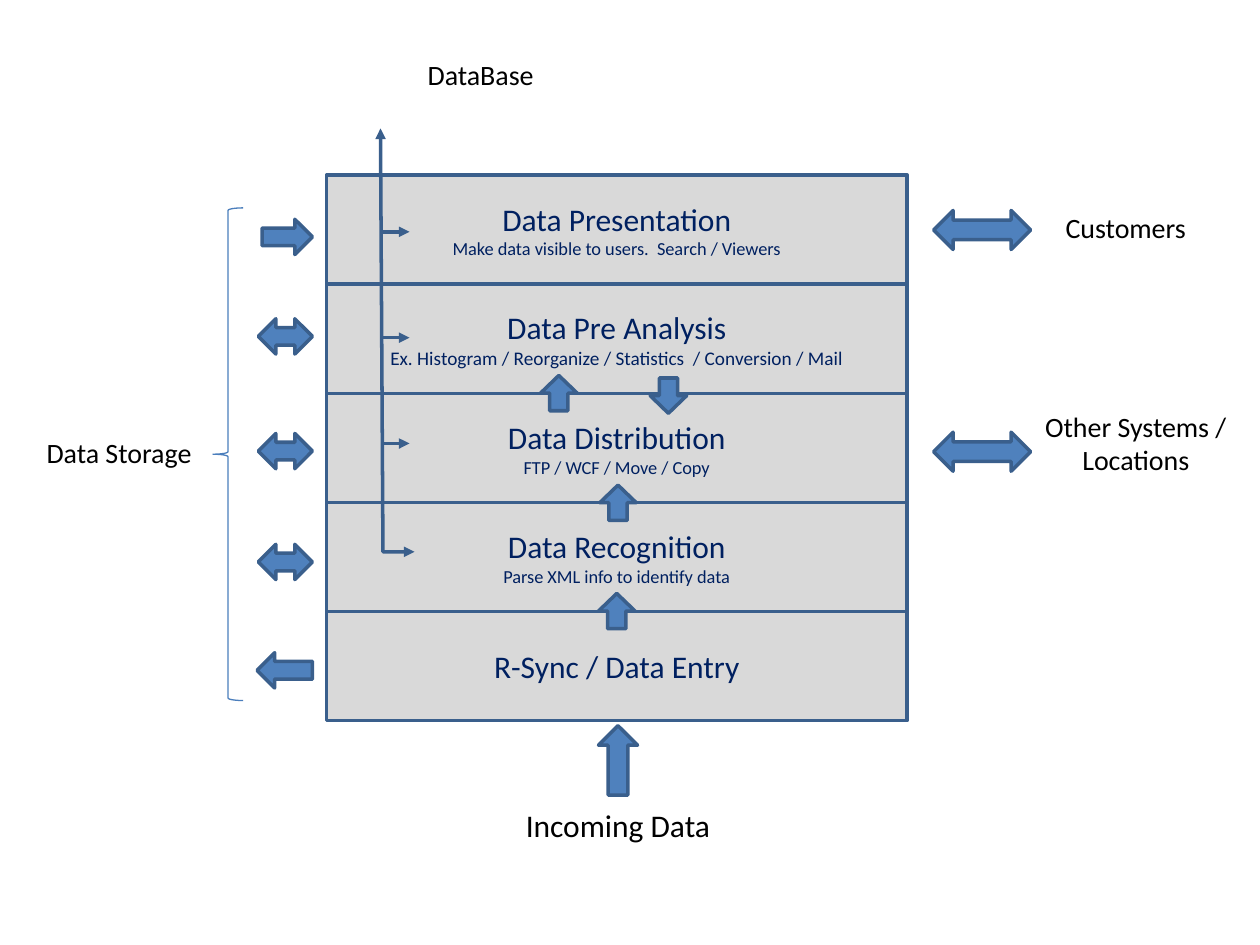
"""Draw the layered data pipeline with its storage, database and outside links."""
from dataclasses import dataclass

from lxml import etree
from pptx import Presentation
from pptx import util as u
from pptx.dml.color import RGBColor
from pptx.enum import shapes, text
from pptx.oxml import ns

COLS, ROWS = 100, 75
prs = Presentation()
prs.slide_width, prs.slide_height = u.Inches(10), u.Inches(7.5)
s = prs.slides.add_slide(prs.slide_layouts[6])
KIND = shapes.MSO_SHAPE


@dataclass(frozen=True)
class Theme:
    font: str = "Calibri"
    layer: str = "D9D9D9"
    arrow: str = "4F81BD"
    outline: str = "3A5F8C"
    brace: str = "4B7EBC"
    navy: str = "002060"
    black: str = "000000"
    heading: float = 18
    label: float = 16
    detail: float = 10.5
    wide_detail: float = 11
    stroke: float = 2
    thin: float = 0.75


THEME = Theme()


@dataclass(frozen=True)
class Box:
    col: float
    row: float
    cols: float
    rows: float

    def emu(self) -> tuple[int, int, int, int]:
        return x(self.col), y(self.row), x(self.cols), y(self.rows)


@dataclass(frozen=True)
class Layer:
    title: str
    detail: str = ""
    size: float = THEME.detail


@dataclass(frozen=True)
class Arrow:
    kind: KIND
    box: Box


@dataclass(frozen=True)
class Label:
    words: str
    box: Box
    size: float = THEME.label


def x(col: float) -> int:
    return round(prs.slide_width * col / COLS)


def y(row: float) -> int:
    return round(prs.slide_height * row / ROWS)


def write(p, words: str, *, size: float, color: str) -> None:
    p.alignment = text.PP_ALIGN.CENTER
    r = p.add_run()
    r.text = words
    r.font.name = THEME.font
    r.font.size = u.Pt(size)
    r.font.color.rgb = RGBColor.from_string(color)


def stroke(line, color: str = THEME.outline, width: float = THEME.stroke) -> None:
    line.color.rgb = RGBColor.from_string(color)
    line.width = u.Pt(width)


def add_heads(sp, *ends: str) -> None:
    ln = sp.line._get_or_add_ln()
    for end in ends:
        etree.SubElement(ln, ns.qn(f"a:{end}"), type="triangle")


def draw_shape(kind: KIND, box: Box, fill: str):
    sp = s.shapes.add_shape(kind, *box.emu())
    sp.shadow.inherit = False
    sp.fill.solid()
    sp.fill.fore_color.rgb = RGBColor.from_string(fill)
    stroke(sp.line)
    return sp


def draw_layer(layer: Layer, box: Box) -> None:
    tf = draw_shape(KIND.RECTANGLE, box, THEME.layer).text_frame
    tf.word_wrap = True
    tf.vertical_anchor = text.MSO_ANCHOR.MIDDLE
    write(tf.paragraphs[0], layer.title, size=THEME.heading, color=THEME.navy)
    if layer.detail:
        write(tf.add_paragraph(), layer.detail, size=layer.size, color=THEME.navy)


def draw_label(label: Label) -> None:
    tf = s.shapes.add_textbox(*label.box.emu()).text_frame
    tf.word_wrap = True
    for i, words in enumerate(label.words.split("\n")):
        p = tf.add_paragraph() if i else tf.paragraphs[0]
        write(p, words, size=label.size, color=THEME.black)


def draw_brace(box: Box) -> None:
    sp = s.shapes.add_shape(KIND.LEFT_BRACE, *box.emu())
    sp.shadow.inherit = False
    sp.fill.background()
    stroke(sp.line, THEME.brace, THEME.thin)


def draw_database_path(points: list[tuple[float, float]]) -> None:
    start, *rest = [(x(col), y(row)) for col, row in points]
    builder = s.shapes.build_freeform(*start)
    builder.add_line_segments(rest, close=False)
    sp = builder.convert_to_shape()
    sp.shadow.inherit = False
    sp.fill.background()
    stroke(sp.line)
    add_heads(sp, "headEnd", "tailEnd")


def draw_branch(start: float, end: float, row: float) -> None:
    sp = s.shapes.add_connector(shapes.MSO_CONNECTOR.STRAIGHT,
                                x(start), y(row), x(end), y(row))
    stroke(sp.line)
    add_heads(sp, "tailEnd")
    etree.SubElement(sp._element.spPr, ns.qn("a:effectLst"))


LAYERS = [
    Layer("Data Presentation", "Make data visible to users.  Search / Viewers"),
    Layer("Data Pre Analysis",
          "Ex. Histogram / Reorganize / Statistics  / Conversion / Mail",
          THEME.wide_detail),
    Layer("Data Distribution", "FTP / WCF / Move / Copy"),
    Layer("Data Recognition", "Parse XML info to identify data"),
    Layer("R-Sync / Data Entry"),
]
STACK = Box(25.9, 13.9, 46.1, 8.66)

ARROWS = [
    Arrow(KIND.UP_ARROW, Box(47.5, 57.6, 3.1, 5.5)),
    *(Arrow(KIND.LEFT_RIGHT_ARROW, Box(74.1, row, 7.7, 3.1)) for row in (34.3, 16.7)),
    *(Arrow(KIND.UP_ARROW, Box(col, row, 2.9, 2.8))
      for col, row in ((47.5, 47.1), (47.6, 38.5), (42.9, 29.8))),
    Arrow(KIND.DOWN_ARROW, Box(51.6, 30, 2.9, 2.8)),
    Arrow(KIND.RIGHT_ARROW, Box(20.8, 17.4, 4, 2.8)),
    Arrow(KIND.LEFT_ARROW, Box(20.4, 51.8, 4.4, 2.8)),
    *(Arrow(KIND.LEFT_RIGHT_ARROW, Box(20.5, row, 4.3, 2.8)) for row in (43.2, 34.4, 25.3)),
]

LABELS = [
    Label("Incoming Data", Box(35.6, 63.5, 26.9, 4), THEME.heading),
    Label("Other Systems /\nLocations", Box(81.5, 32, 17.3, 6.4)),
    Label("Customers", Box(80.7, 16.2, 17.3, 3.7)),
    Label("Data Storage", Box(0.8, 34.1, 17.3, 3.7)),
    Label("DataBase", Box(29.5, 4.1, 17.3, 3.7)),
]


def main() -> None:
    for i, layer in enumerate(LAYERS):
        draw_layer(layer, Box(STACK.col, STACK.row + i * STACK.rows, STACK.cols, STACK.rows))
    for arrow in ARROWS:
        draw_shape(arrow.kind, arrow.box, THEME.arrow)
    for label in LABELS:
        draw_label(label)
    draw_database_path([(30.2, 10.2), (30.4, 43.8), (32.9, 43.8)])
    for row in (18.4, 26.8, 35.2):
        draw_branch(30.3, 32.5, row)
    draw_brace(Box(16.9, 16.5, 2.4, 39.1))
    prs.save("out.pptx")


if __name__ == "__main__":
    main()
